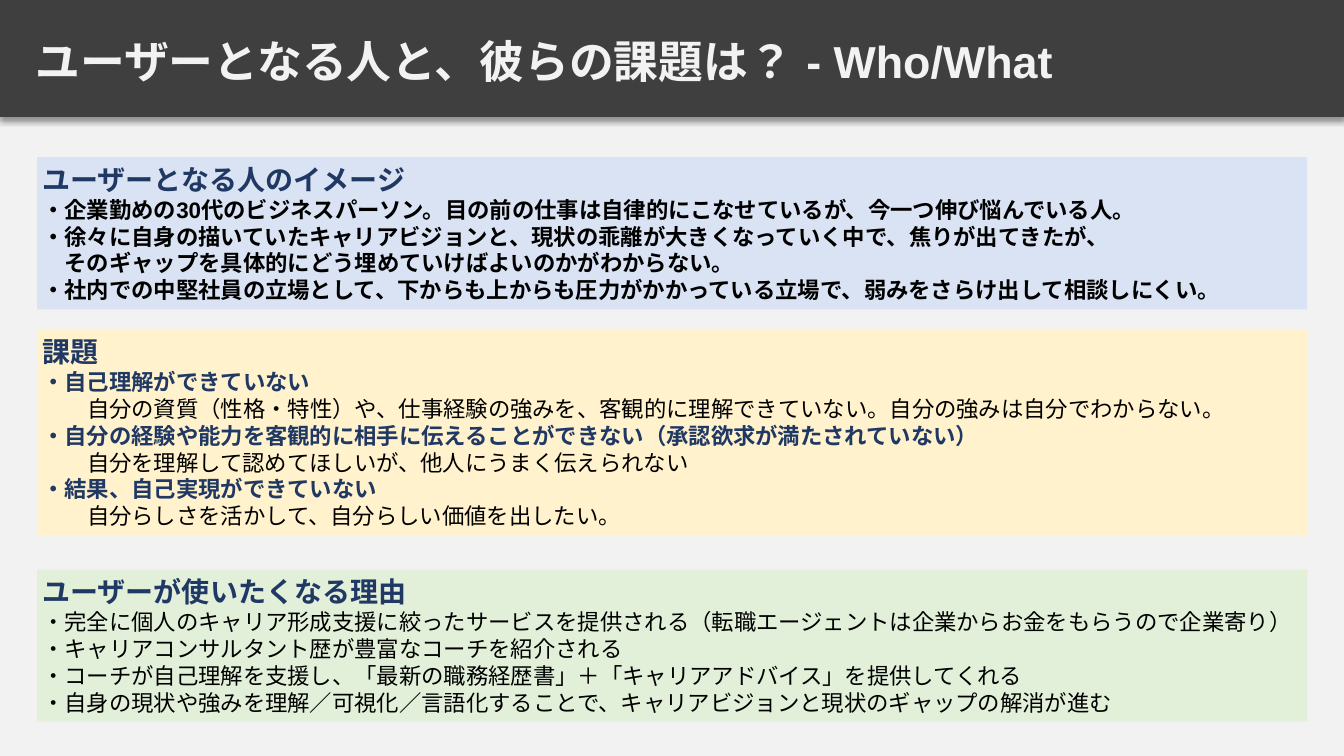
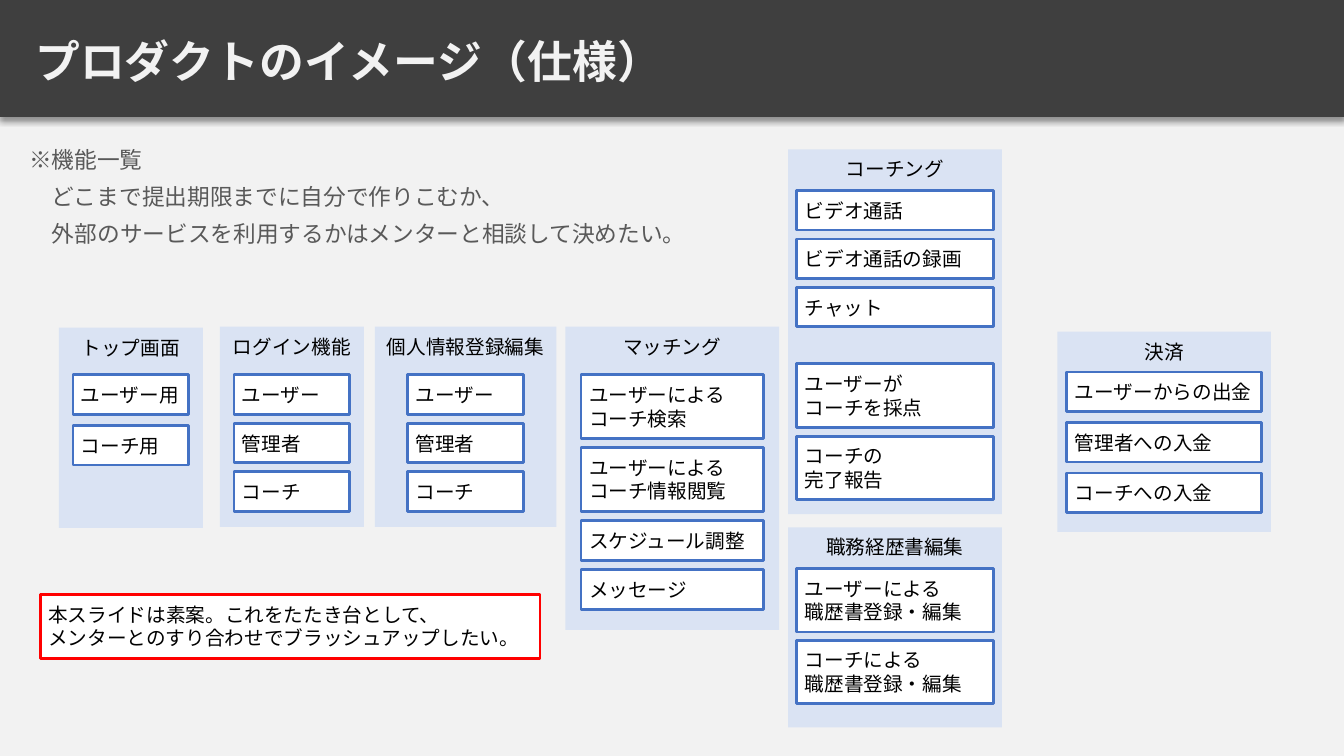
from dataclasses import dataclass
from math import ceil

from lxml import etree
from pptx import Presentation
from pptx.dml.color import RGBColor
from pptx.enum.lang import MSO_LANGUAGE_ID
from pptx.enum.shapes import MSO_SHAPE
from pptx.enum.text import MSO_ANCHOR, MSO_AUTO_SIZE, PP_ALIGN
from pptx.oxml.ns import qn
from pptx.util import Pt

RECTANGLE = MSO_SHAPE.RECTANGLE
JAPANESE = MSO_LANGUAGE_ID.JAPANESE
LEFT, CENTER = PP_ALIGN.LEFT, PP_ALIGN.CENTER
TOP, MIDDLE = MSO_ANCHOR.TOP, MSO_ANCHOR.MIDDLE
FIXED, GROW = MSO_AUTO_SIZE.NONE, MSO_AUTO_SIZE.SHAPE_TO_FIT_TEXT

USER_TITLE = "ユーザーとなる人と、彼らの課題は？ - Who/What"
USER_SECTIONS = [
    (112.3, 108.7, "blue", [
        ("heading", "ユーザーとなる人のイメージ"),
        ("strong", "・企業勤めの30代のビジネスパーソン。目の前の仕事は自律的にこなせているが、今一つ伸び悩んでいる人。"),
        ("strong", "・徐々に自身の描いていたキャリアビジョンと、現状の乖離が大きくなっていく中で、焦りが出てきたが、"),
        ("strong_next", "そのギャップを具体的にどう埋めていけばよいのかがわからない。"),
        ("strong", "・社内での中堅社員の立場として、下からも上からも圧力がかかっている立場で、弱みをさらけ出して相談しにくい。"),
    ]),
    (235.4, 147.6, "yellow", [
        ("heading", "課題"),
        ("issue", "・自己理解ができていない"),
        ("detail", "自分の資質（性格・特性）や、仕事経験の強みを、客観的に理解できていない。自分の強みは自分でわからない。"),
        ("issue", "・自分の経験や能力を客観的に相手に伝えることができない（承認欲求が満たされていない）"),
        ("detail", "自分を理解して認めてほしいが、他人にうまく伝えられない"),
        ("issue", "・結果、自己実現ができていない"),
        ("detail", "自分らしさを活かして、自分らしい価値を出したい。"),
    ]),
    (406.8, 108.7, "green", [
        ("heading", "ユーザーが使いたくなる理由"),
        ("plain", "・完全に個人のキャリア形成支援に絞ったサービスを提供される（転職エージェントは企業からお金をもらうので企業寄り）"),
        ("plain", "・キャリアコンサルタント歴が豊富なコーチを紹介される"),
        ("plain", "・コーチが自己理解を支援し、「最新の職務経歴書」＋「キャリアアドバイス」を提供してくれる"),
        ("plain", "・自身の現状や強みを理解／可視化／言語化することで、キャリアビジョンと現状のギャップの解消が進む"),
    ]),
]

PRODUCT_TITLE = "プロダクトのイメージ（仕様）"
PRODUCT_INTRO = [
    ("intro", "※機能一覧"),
    ("intro_next", "どこまで提出期限までに自分で作りこむか、"),
    ("intro_next", "外部のサービスを利用するかはメンターと相談して決めたい。"),
]
DRAFT_NOTE = ["本スライドは素案。これをたたき台として、", "メンターとのすり合わせでブラッシュアップしたい。"]


@dataclass
class Panel:
    name: str
    frame: tuple
    card_width: float
    first_top: float
    gap: float
    groups: list


ROLES = [["ユーザー"], ["管理者"], ["コーチ"]]
PANELS = [
    Panel("トップ画面", (42, 234, 103, 143), 82.8, 267.8, 7.9,
          [[["ユーザー用"], ["コーチ用"]]]),
    Panel("ログイン機能", (157, 233.3, 103, 143), 82.8, 267.8, 6.4, [ROLES]),
    Panel("個人情報登録編集", (267.8, 233.3, 129.6, 143), 82.8, 267.8, 6.4, [ROLES]),
    Panel("マッチング", (403.9, 233.3, 152.6, 216.7), 130.3, 267.8, 6.7,
          [[["ユーザーによるコーチ検索"], ["ユーザーによるコーチ情報閲覧"],
            ["スケジュール調整"], ["メッセージ"]]]),
    Panel("コーチング", (563, 106.6, 152.6, 260.6), 140.4, 136.1, 6.4,
          [[["ビデオ通話"], ["ビデオ通話の録画"], ["チャット"]],
           [["ユーザーが", "コーチを採点"], ["コーチの", "完了報告"]]]),
    Panel("職務経歴書編集", (563, 376.6, 152.6, 143), 140.4, 406.1, 5.8,
          [[["ユーザーによる", "職歴書登録・編集"], ["コーチによる", "職歴書登録・編集"]]]),
    Panel("決済", (755.3, 236.9, 152.6, 143), 139, 265.7, 7.9,
          [[["ユーザーからの出金"], ["管理者への入金"], ["コーチへの入金"]]]),
]


class Theme:
    font = "Arial"
    colors = {
        "page": "F2F2F2", "band": "3F3F3F", "blue": "DAE3F3", "yellow": "FFF2CC",
        "green": "E2F0D9", "navy": "203864", "black": "000000", "gray": "595959",
        "white": "FFFFFF", "border": "4472C4", "alert": "FF0000",
    }
    body, intro, card = 16, 16.2, 14
    inset, card_inset = 3.6, 5.76
    styles = {
        "title": dict(size=32, color="page", bold=True, spacing=0.9),
        "heading": dict(size=20, color="navy", bold=True),
        "strong": dict(size=body, bold=True),
        "strong_next": dict(size=body, bold=True, indent=body),
        "issue": dict(size=body, color="navy", bold=True),
        "detail": dict(size=body, indent=2 * body),
        "plain": dict(size=body),
        "intro": dict(size=intro, color="gray", spacing=0.9, before=9),
        "intro_next": dict(size=intro, color="gray", spacing=0.9, before=9, indent=intro),
        "card": dict(size=card),
        "panel": dict(size=card, align=CENTER),
    }


def color_of(name):
    return RGBColor.from_string(Theme.colors[name])


def write(para, text, *, size, color="black", bold=False, align=LEFT,
          indent=0, spacing=1, before=0):
    para.alignment = align
    para.line_spacing = spacing
    para.space_before = Pt(before)
    properties = para._p.get_or_add_pPr()
    properties.set("marL", str(Pt(indent)))
    properties.set("indent", "0")
    span = para.add_run()
    span.text = text
    font = span.font
    font.name, font.size, font.bold = Theme.font, Pt(size), bold
    font.color.rgb = color_of(color)
    font.language_id = JAPANESE
    east_asian = etree.SubElement(font._element, qn("a:ea"))
    east_asian.set("typeface", Theme.font)


def fill_frame(frame, lines, inset=Theme.inset, fit=FIXED, anchor=TOP):
    frame.word_wrap = True
    frame.auto_size = fit
    frame.vertical_anchor = anchor
    frame.margin_left = frame.margin_right = Pt(inset)
    frame.margin_top = frame.margin_bottom = Pt(inset)
    for index, (style, text) in enumerate(lines):
        para = frame.add_paragraph() if index else frame.paragraphs[0]
        write(para, text, **Theme.styles[style])


def add_box(shapes, bounds, fill, line=None, width=2):
    box = shapes.add_shape(RECTANGLE, *map(Pt, bounds))
    box.shadow.inherit = False
    box.fill.solid()
    box.fill.fore_color.rgb = color_of(fill)
    if line:
        box.line.color.rgb = color_of(line)
        box.line.width = Pt(width)
    else:
        box.line.fill.background()
    return box


def add_band_shadow(band):
    effects = band.element.spPr.find(qn("a:effectLst"))
    shadow = etree.SubElement(effects, qn("a:outerShdw"), blurRad=str(Pt(4)),
                              dist=str(Pt(3)), dir="5400000", algn="t", rotWithShape="0")
    tint = etree.SubElement(shadow, qn("a:srgbClr"), val=Theme.colors["black"])
    etree.SubElement(tint, qn("a:alpha"), val="40000")


def style_layout(layout, page):
    layout.background.fill.solid()
    layout.background.fill.fore_color.rgb = color_of("page")
    band = add_box(page.shapes, (0, 0, 960, 82.8), "band", "band", 1)
    add_band_shadow(band)
    layout.shapes.element.insert(2, band.element)


def set_title(page, text):
    title = page.shapes.title
    title.left, title.top, title.width, title.height = map(Pt, (0, 12.2, 960, 67))
    fill_frame(title.text_frame, [("title", text)], anchor=MIDDLE)
    title.text_frame.margin_left = Pt(25.2)


def card_height(lines, width):
    inner = width - 2 * Theme.card_inset
    rows = sum(ceil(len(line) * Theme.card / inner) for line in lines)
    return 11 + 17.2 * rows


def add_panel(page, panel, group_gap=20):
    shapes = page.shapes.add_group_shape().shapes
    back = add_box(shapes, panel.frame, "blue")
    fill_frame(back.text_frame, [("panel", panel.name)], Theme.card_inset)
    left = panel.frame[0] + (panel.frame[2] - panel.card_width) / 2
    top = panel.first_top
    for group in panel.groups:
        for lines in group:
            height = card_height(lines, panel.card_width)
            card = add_box(shapes, (left, top, panel.card_width, height), "white", "border")
            fill_frame(card.text_frame, [("card", line) for line in lines],
                       Theme.card_inset, GROW)
            top += height + panel.gap
        top += group_gap


def build_user_page(page):
    set_title(page, USER_TITLE)
    for top, height, fill, lines in USER_SECTIONS:
        box = add_box(page.shapes, (26.6, top, 907.2, height), fill)
        fill_frame(box.text_frame, lines, fit=GROW)


def build_product_page(page):
    set_title(page, PRODUCT_TITLE)
    intro = page.shapes.add_textbox(*map(Pt, (17.3, 103, 926, 107.3)))
    fill_frame(intro.text_frame, PRODUCT_INTRO)
    for panel in PANELS:
        add_panel(page, panel)
    note = add_box(page.shapes, (28.8, 424.8, 357, 45.4), "white", "alert")
    fill_frame(note.text_frame, [("card", line) for line in DRAFT_NOTE], Theme.card_inset)


deck = Presentation()
deck.slide_width, deck.slide_height = Pt(960), Pt(540)
title_only = deck.slide_layouts[5]
user_page = deck.slides.add_slide(title_only)
style_layout(title_only, user_page)
build_user_page(user_page)
build_product_page(deck.slides.add_slide(title_only))
deck.save("out.pptx")
